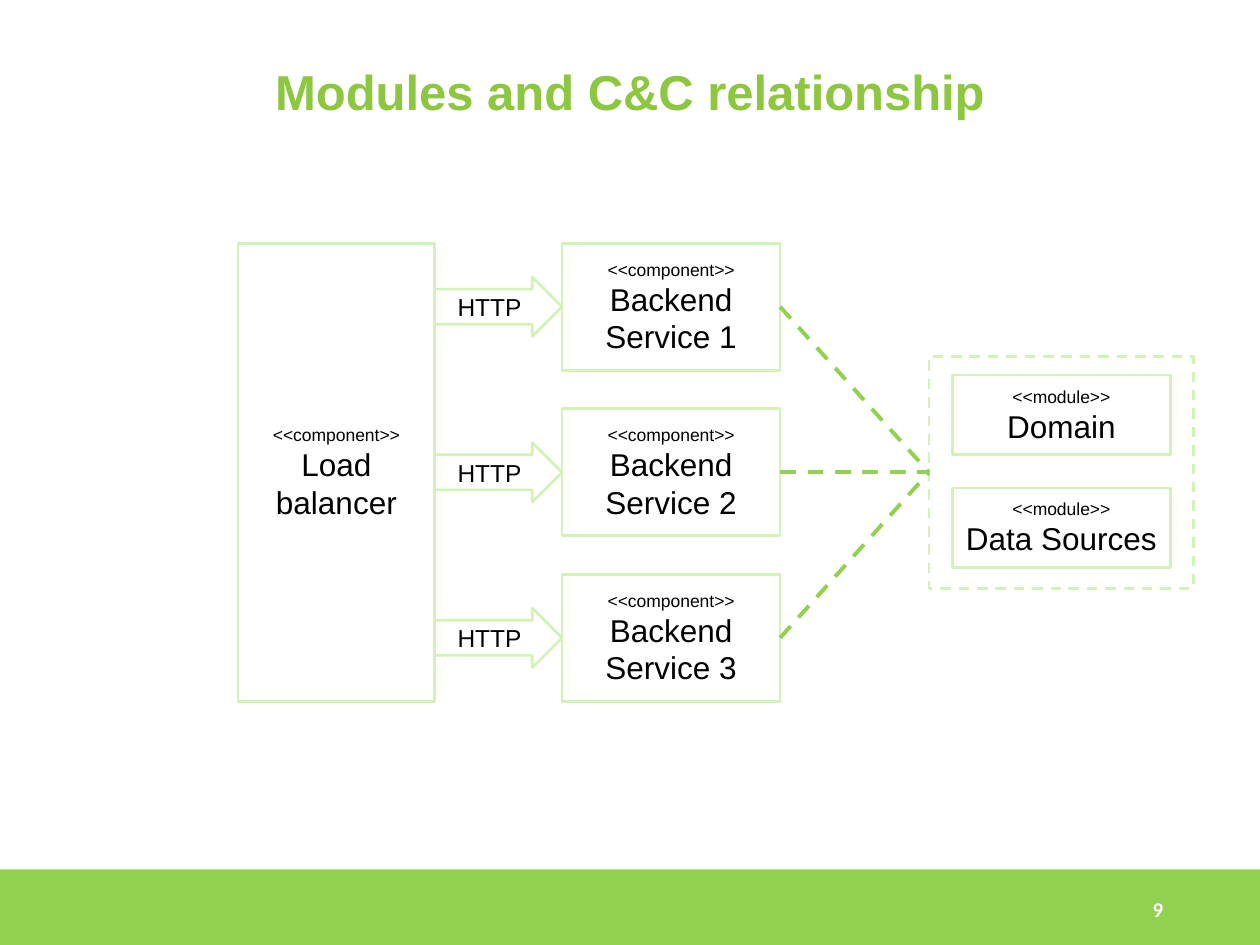
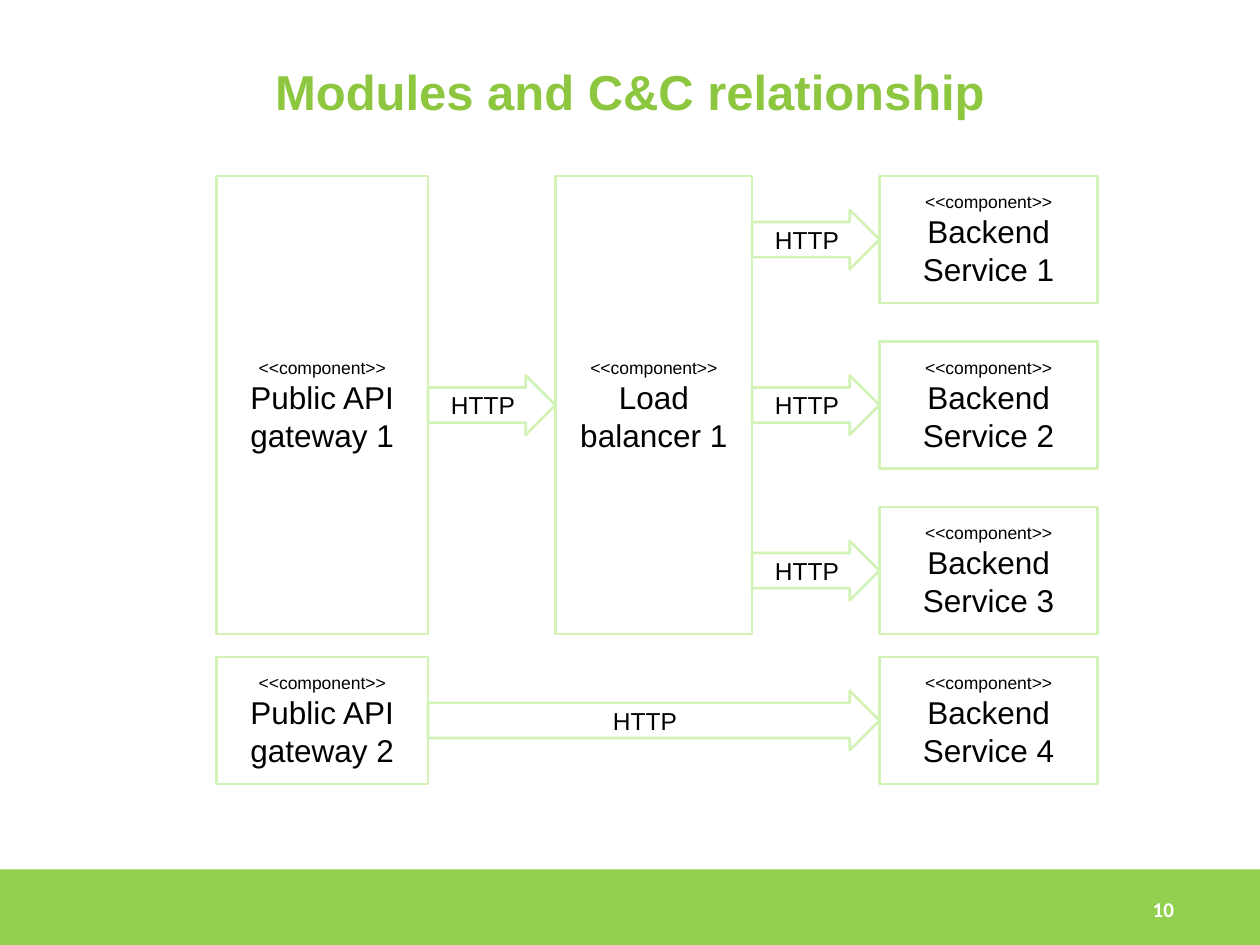
from dataclasses import dataclass

from lxml import etree
from pptx import Presentation
from pptx.dml import color
from pptx.enum import dml, shapes, text
from pptx.oxml import ns
from pptx.shapes import autoshape
from pptx.slide import Slide
from pptx.text import text as tx
from pptx.util import Pt

Shape = autoshape.Shape
Align = text.PP_ALIGN
Kind = shapes.MSO_SHAPE


@dataclass(frozen=True)
class Theme:
    band: str = "92D050"
    title: str = "8DC63F"
    edge: str = "D3F2B6"
    white: str = "FFFFFF"
    ink: str = "000000"
    font: str = "Arial"
    num_font: str = "Calibri"
    head: float = 28
    name: float = 18
    call: float = 14
    num: float = 12
    tag: float = 10
    thin: float = 1.5
    thick: float = 2.25


@dataclass(frozen=True)
class Box:
    x: float
    y: float
    w: float
    h: float

    @property
    def right(self) -> float:
        return self.x + self.w

    @property
    def mid(self) -> float:
        return self.y + self.h / 2


@dataclass(frozen=True)
class Part:
    """A stereotyped block of the diagram."""
    name: str
    box: Box
    tag: str = "component"


T = Theme()
WIDE, HIGH = 720, 540
BAND = Box(0, 496.8, WIDE, 45.2)
UNIT = Box(0, 0, 124.6, 72.6)
PITCH = 94.6
TALL = 2 * PITCH + UNIT.h
CALL_W, CALL_H = 72.8, 34
LOAD_W, GATE_W = 112.4, 121


def rgb(code: str) -> color.RGBColor:
    return color.RGBColor.from_string(code)


def write(frame: tx.TextFrame, words: str, *, size: float, ink: str = T.ink,
          font: str = T.font, bold: bool = False, align: Align = Align.CENTER,
          more: bool = False) -> None:
    """Fill the first paragraph, or append one when more is set."""
    para = frame.add_paragraph() if more else frame.paragraphs[0]
    para.alignment = align
    run = para.add_run()
    run.text = words
    run.font.size, run.font.bold, run.font.name = Pt(size), bold, font
    run.font.color.rgb = rgb(ink)


def draw(slide: Slide, kind: Kind, box: Box, *, fill: str = "", line: str = "",
         dash: bool = False, pad: float = 7.2) -> Shape:
    shape = slide.shapes.add_shape(kind, Pt(box.x), Pt(box.y), Pt(box.w), Pt(box.h))
    shape.shadow.inherit = False
    if fill:
        shape.fill.solid()
        shape.fill.fore_color.rgb = rgb(fill)
    else:
        shape.fill.background()
    if line:
        shape.line.color.rgb = rgb(line)
        shape.line.width = Pt(T.thin)
        if dash:
            shape.line.dash_style = dml.MSO_LINE.DASH
    else:
        shape.line.fill.background()
    frame = shape.text_frame
    frame.word_wrap = True
    frame.vertical_anchor = text.MSO_ANCHOR.MIDDLE
    frame.margin_left = frame.margin_right = Pt(7.2)
    frame.margin_top = frame.margin_bottom = Pt(pad)
    return shape


def block(slide: Slide, part: Part) -> Shape:
    shape = draw(slide, Kind.RECTANGLE, part.box, line=T.edge)
    write(shape.text_frame, f"<<{part.tag}>>", size=T.tag)
    write(shape.text_frame, part.name, size=T.name, more=True)
    return shape


def call(slide: Slide, start: float, end: float, mid: float) -> None:
    """Draw an HTTP arrow between two edges."""
    box = Box(start, mid - CALL_H / 2, end - start, CALL_H)
    arrow = draw(slide, Kind.RIGHT_ARROW, box, fill=T.white, line=T.edge)
    arrow.adjustments[0], arrow.adjustments[1] = 0.59, 0.5
    write(arrow.text_frame, "HTTP", size=T.call)


def join(slide: Slide, start: Shape, end: Shape) -> None:
    """Link the right side of one shape to the left side of another."""
    link = slide.shapes.add_connector(shapes.MSO_CONNECTOR.STRAIGHT, 0, 0, 0, 0)
    link.begin_connect(start, 3)
    link.end_connect(end, 1)
    link.line.color.rgb = rgb(T.band)
    link.line.width = Pt(T.thick)
    link.line.dash_style = dml.MSO_LINE.DASH
    etree.SubElement(link.element.spPr, ns.qn("a:effectLst"))


def begin(deck: Presentation, number: int) -> Slide:
    """Add a slide with its title, band and number."""
    slide = deck.slides.add_slide(deck.slide_layouts.get_by_name("Title Only"))
    title = slide.shapes.title
    title.left, title.top = Pt(36), Pt(21.6)
    title.width, title.height = Pt(648), Pt(61.2)
    title.text_frame.vertical_anchor = text.MSO_ANCHOR.MIDDLE
    title.text_frame.auto_size = text.MSO_AUTO_SIZE.NONE
    write(title.text_frame, "Modules and C&C relationship",
          size=T.head, ink=T.title, bold=True)
    draw(slide, Kind.RECTANGLE, BAND, fill=T.band)
    page = draw(slide, Kind.RECTANGLE, Box(651.6, BAND.y, 60, BAND.h), pad=3.6)
    write(page.text_frame, str(number), size=T.num, ink=T.white,
          font=T.num_font, bold=True, align=Align.LEFT)
    return slide


def cluster(slide: Slide, name: str, x: float, y: float) -> list[Shape]:
    """Draw a load balancer that calls three backend services."""
    load = Box(x, y, LOAD_W, TALL)
    block(slide, Part(name, load))
    left = load.right + CALL_W
    backs = []
    for i in range(3):
        box = Box(left, y + i * PITCH, UNIT.w, UNIT.h)
        backs.append(block(slide, Part(f"Backend Service {i + 1}", box)))
        call(slide, load.right, left, box.mid)
    return backs


def modules(deck: Presentation) -> None:
    slide = begin(deck, 9)
    backs = cluster(slide, "Load balancer", 136, 139)
    group = Box(530.8, 203.6, 151.2, 132.6)
    frame = draw(slide, Kind.RECTANGLE, group, line=T.edge, dash=True)
    for i, name in enumerate(("Domain", "Data Sources")):
        box = Box(group.x + 13.4, 214.4 + i * 64.4, UNIT.w, 45.4)
        block(slide, Part(name, box, "module"))
    for back in backs:
        join(slide, back, frame)


def gateways(deck: Presentation) -> None:
    slide = begin(deck, 10)
    top, low = 100.6, 375.4
    gate = Box(123.6, top, GATE_W, TALL)
    load_x = gate.right + CALL_W
    back_x = load_x + LOAD_W + CALL_W
    block(slide, Part("Public API gateway 1", gate))
    cluster(slide, "Load balancer 1", load_x, top)
    call(slide, gate.right, load_x, gate.mid)

    gate = Box(gate.x, low, GATE_W, UNIT.h)
    block(slide, Part("Public API gateway 2", gate))
    block(slide, Part("Backend Service 4", Box(back_x, low, UNIT.w, UNIT.h)))
    call(slide, gate.right, back_x, gate.mid)


def main() -> None:
    deck = Presentation()
    deck.slide_width, deck.slide_height = Pt(WIDE), Pt(HIGH)
    modules(deck)
    gateways(deck)
    deck.save("out.pptx")


if __name__ == "__main__":
    main()
